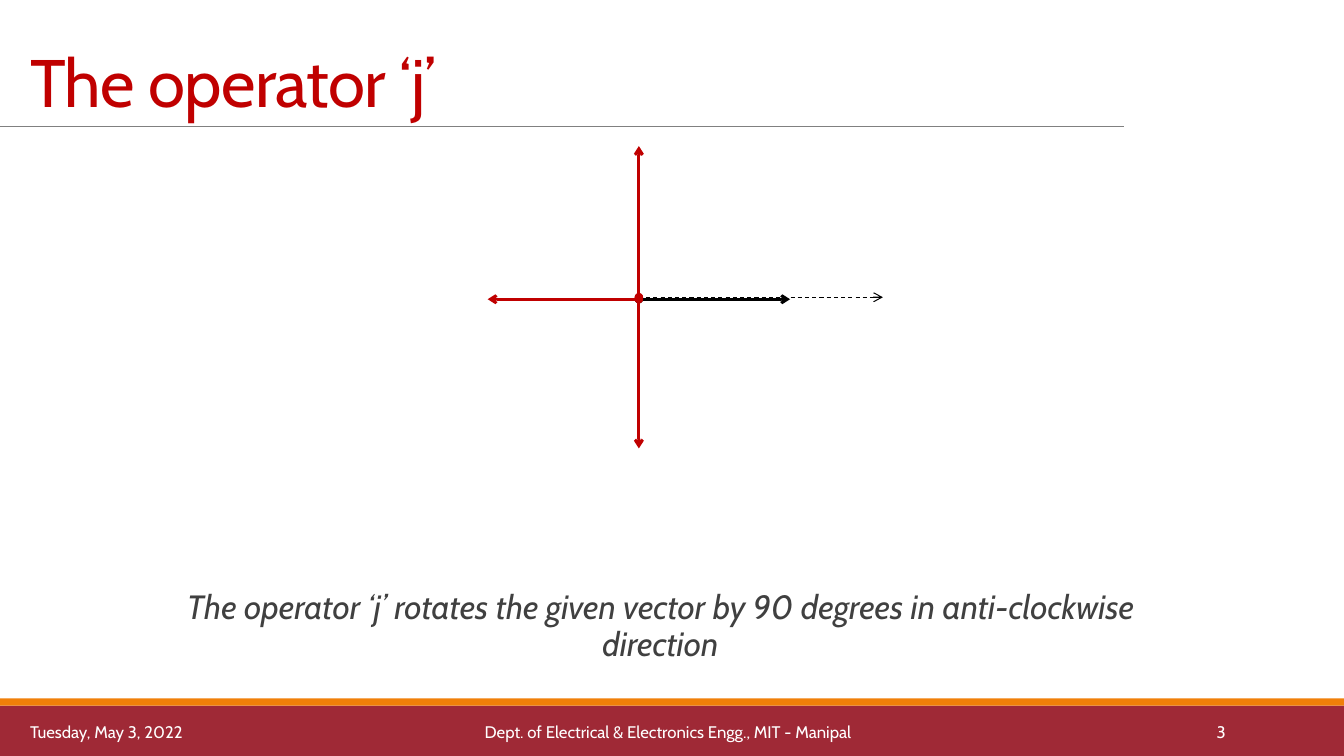
from lxml.etree import SubElement
from pptx import Presentation
from pptx.dml.color import RGBColor
from pptx.enum.dml import MSO_LINE
from pptx.enum.shapes import MSO_CONNECTOR, MSO_SHAPE
from pptx.enum.text import MSO_ANCHOR, MSO_AUTO_SIZE, PP_ALIGN
from pptx.oxml.ns import qn
from pptx.util import Cm, Pt

FONT = "Cabin"
RED, BLACK, WHITE = "C00000", "000000", "FFFFFF"

TITLE = "The operator ‘j’"
STATEMENT = ("The operator ‘j’ rotates the given vector by 90 degrees "
             "in anti-clockwise direction")

# left, top, width, height in cm
TITLE_BOX = (0.51, -0.86, 32.74, 4.04)
STATEMENT_BOX = (4.24, 14.76, 24.56, 2.18)
BANDS = [((0, 17.78, 33.87, 1.27), "9F2936"), ((0, 17.6, 33.87, 0.18), "F07F09")]
TITLE_RULE = ((0, 3.18), (28.32, 3.18))

# text, left, width, alignment
FOOTER_TOP, FOOTER_HEIGHT = 17.93, 1.02
FOOTER = [
    ("Tuesday, May 3, 2022", 0.51, 7.98, PP_ALIGN.LEFT),
    ("Dept. of Electrical & Electronics Engg., MIT - Manipal", 9.12, 15.44, PP_ALIGN.CENTER),
    ("3", 27.51, 3.63, PP_ALIGN.RIGHT),
]

ORIGIN_X, AXIS_Y, VECTOR_Y = 16.1, 7.49, 7.54
REFERENCE_LENGTH, VECTOR_LENGTH = 6.15, 3.81
# start height, direction across, direction down, colour
VECTORS = [
    (VECTOR_Y, 1, 0, BLACK),
    (AXIS_Y, 0, -1, RED),
    (VECTOR_Y, -1, 0, RED),
    (AXIS_Y, 0, 1, RED),
]


def rgb(hex_colour):
    return RGBColor.from_string(hex_colour)


def place(shape, box):
    shape.left, shape.top, shape.width, shape.height = map(Cm, box)


def style(paragraph, size, colour, align=PP_ALIGN.LEFT, italic=False):
    paragraph.alignment = align
    font = paragraph.font
    font.name, font.size, font.italic = FONT, Pt(size), italic
    font.color.rgb = rgb(colour)


def add_line(slide, start, end, colour, width, head=None, tail=None, dash=None):
    """Draw a line; head is the mark at its start, tail the one at its end."""
    line = slide.shapes.add_connector(MSO_CONNECTOR.STRAIGHT, *map(Cm, start + end))
    line.line.color.rgb = rgb(colour)
    line.line.width = Pt(width)
    if dash:
        line.line.dash_style = dash
    ln = line.line._get_or_add_ln()
    for tag, mark in (("a:headEnd", head), ("a:tailEnd", tail)):
        if mark:
            SubElement(ln, qn(tag), type=mark)
    SubElement(line._element.spPr, qn("a:effectLst"))


def add_bands(slide):
    for box, colour in BANDS:
        band = slide.shapes.add_shape(MSO_SHAPE.RECTANGLE, *map(Cm, box))
        band.shadow.inherit = False
        band.fill.solid()
        band.fill.fore_color.rgb = rgb(colour)
        band.line.fill.background()


def fill_title(title):
    place(title, TITLE_BOX)
    frame = title.text_frame
    frame.text = TITLE
    frame.vertical_anchor = MSO_ANCHOR.BOTTOM
    frame.auto_size = MSO_AUTO_SIZE.NONE
    heading = frame.paragraphs[0]
    heading.line_spacing = 0.85
    style(heading, 48, RED)
    heading.runs[0]._r.get_or_add_rPr().set("spc", "-50")


def fill_statement(body):
    place(body, STATEMENT_BOX)
    frame = body.text_frame
    frame.text = STATEMENT
    frame.auto_size = MSO_AUTO_SIZE.NONE
    frame.margin_left = frame.margin_right = 0
    statement = frame.paragraphs[0]
    statement.line_spacing = 0.9
    statement.space_before, statement.space_after = Pt(0), Pt(2)
    properties = statement._p.get_or_add_pPr()
    properties.set("marL", str(Cm(0.25)))
    properties.set("indent", str(Cm(-0.25)))
    SubElement(properties, qn("a:buChar"), char=" ")
    style(statement, 24, "404040", PP_ALIGN.CENTER, italic=True)


def add_footer(slide):
    for text, left, width, align in FOOTER:
        box = slide.shapes.add_textbox(*map(Cm, (left, FOOTER_TOP, width, FOOTER_HEIGHT)))
        frame = box.text_frame
        frame.word_wrap = True
        frame.vertical_anchor = MSO_ANCHOR.MIDDLE
        frame.text = text
        style(frame.paragraphs[0], 12, WHITE, align)


def add_vectors(slide):
    add_line(slide, (ORIGIN_X, AXIS_Y), (ORIGIN_X + REFERENCE_LENGTH, AXIS_Y),
             BLACK, 0.75, tail="arrow", dash=MSO_LINE.DASH)
    for y, across, down, colour in VECTORS:
        tip = (ORIGIN_X + across * VECTOR_LENGTH, y + down * VECTOR_LENGTH)
        add_line(slide, (ORIGIN_X, y), tip, colour, 2, head="oval", tail="arrow")


def main():
    deck = Presentation()
    deck.slide_width, deck.slide_height = Cm(33.87), Cm(19.05)
    slide = deck.slides.add_slide(deck.slide_layouts[1])
    add_bands(slide)
    add_line(slide, *TITLE_RULE, "808080", 0.5)
    fill_title(slide.shapes.title)
    fill_statement(slide.placeholders[1])
    add_footer(slide)
    add_vectors(slide)
    deck.save("out.pptx")


if __name__ == "__main__":
    main()
